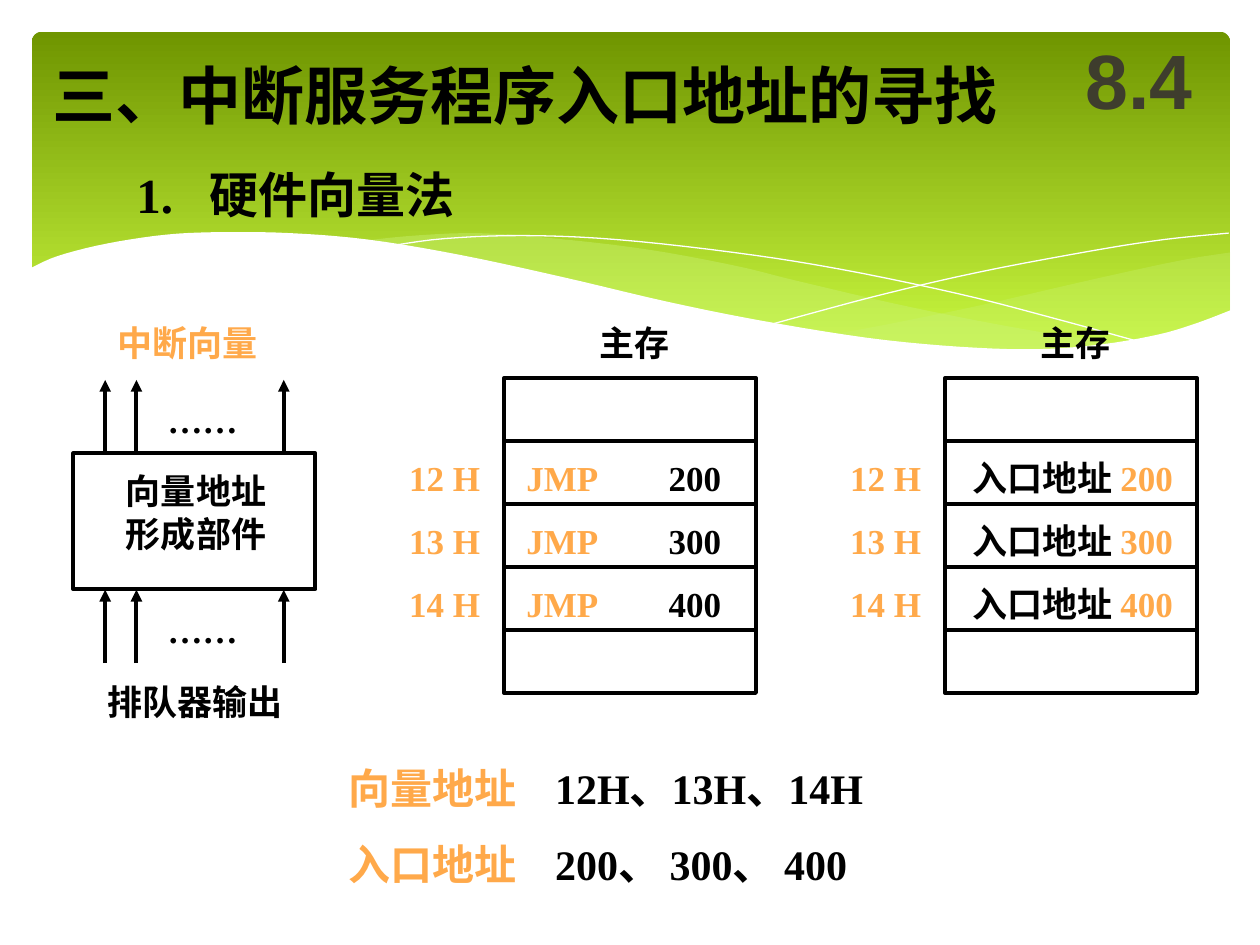
from lxml.etree import SubElement
from pptx import Presentation
from pptx.dml.color import RGBColor
from pptx.enum.shapes import MSO_CONNECTOR, MSO_SHAPE
from pptx.enum.text import MSO_ANCHOR, MSO_AUTO_SIZE, PP_ALIGN
from pptx.oxml.ns import qn
from pptx.util import Cm, Pt

BLACK, ORANGE, WHITE, LIME, GREY = "000000", "FFA94A", "FFFFFF", "CAF278", "3E3D2D"

MAIN_WAVE = [
    (-0.05, 4.78), (0.53, 4.52), (1.52, 4.27), (2.72, 4.09), (3.84, 4.04), (5.21, 4.06),
    (6.78, 4.19), (8.64, 4.5), (10.72, 4.95), (12.8, 5.44), (14.68, 5.82), (16.84, 6.17),
    (18.69, 6.35), (20.27, 6.4), (21.59, 6.3), (22.73, 6.1), (23.5, 5.87), (24.18, 5.61)]
RIGHT_SWELL = (
    [(24.16, 4.45), (23.11, 4.62), (21.23, 5.03), (19.15, 5.51), (17.3, 5.89), (16.15, 6.1)],
    [(16.15, 6.1), (16.92, 6.2), (18.29, 6.35), (19.76, 6.43), (21.29, 6.35), (22.56, 6.15),
     (23.47, 5.89), (24.16, 5.64)])
LEFT_SWELL = (
    [(6.63, 4.22), (7.7, 4.11), (9.02, 4.06), (10.57, 4.17), (12.42, 4.39), (14.2, 4.72),
     (15.34, 5), (17.3, 5.46), (19.05, 5.82), (20.62, 6.1), (22.05, 6.3)],
    [(22.05, 6.3), (20.9, 6.43), (19.58, 6.45), (18.06, 6.35), (16.26, 6.12), (14.2, 5.77),
     (11.84, 5.26), (10.21, 4.85), (8.56, 4.52), (6.63, 4.22)])
FALLING_LINE = [
    (7.21, 4.32), (8.33, 4.17), (9.93, 4.11), (11.79, 4.19), (14.15, 4.45), (16.26, 4.78),
    (18.67, 5.28), (20.47, 5.74), (22.4, 6.27)]
RISING_LINE = [(14.94, 5.89), (17.02, 5.33), (19.08, 4.85), (21.36, 4.42), (22.83, 4.19),
               (24.13, 4.06)]


def color(value):
    """Turn a hex string into a colour."""
    return RGBColor.from_string(value)


def write(box, lines, size=20, font="Times New Roman", tab=None, gap=0, align=PP_ALIGN.LEFT):
    """Fill a box with lines of (text, colour) spans."""
    frame = box.text_frame
    for index, spans in enumerate(lines):
        para = frame.add_paragraph() if index else frame.paragraphs[0]
        if tab:
            stops = SubElement(para._p.get_or_add_pPr(), qn("a:tabLst"))
            SubElement(stops, qn("a:tab"), pos=str(Cm(tab)), algn="l")
        para.alignment = align
        if index and gap:
            para.space_before = Pt(gap)
        for text, tint in spans:
            span = para.add_run()
            span.text = text
            span.font.size, span.font.name, span.font.bold = Pt(size), font, True
            span.font.color.rgb = color(tint)


def set_frame(box, flush=False):
    """Set wrapping, and for a flush box no side margins and a middle anchor."""
    frame = box.text_frame
    frame.word_wrap = True
    frame.auto_size = MSO_AUTO_SIZE.NONE if flush else MSO_AUTO_SIZE.SHAPE_TO_FIT_TEXT
    if flush:
        frame.margin_left = frame.margin_right = 0
        frame.vertical_anchor = MSO_ANCHOR.MIDDLE


def add_text(shapes, left, top, width, height, lines, flush=False, **style):
    """Add a text box and write its lines."""
    box = shapes.add_textbox(Cm(left), Cm(top), Cm(width), Cm(height))
    set_frame(box, flush)
    write(box, lines, **style)


def add_frame(shapes, left, top, width, height):
    """Add an unfilled black rectangle."""
    box = shapes.add_shape(MSO_SHAPE.RECTANGLE, Cm(left), Cm(top), Cm(width), Cm(height))
    box.shadow.inherit = False
    box.fill.background()
    box.line.color.rgb, box.line.width = color(BLACK), Pt(2.25)


def add_up_arrow(shapes, x, bottom, length):
    """Add an arrow that points straight up."""
    arrow = shapes.add_connector(
        MSO_CONNECTOR.STRAIGHT, Cm(x), Cm(bottom), Cm(x), Cm(bottom - length))
    arrow.line.color.rgb, arrow.line.width = color(BLACK), Pt(2.25)
    SubElement(arrow.line._get_or_add_ln(), qn("a:tailEnd"), type="triangle")
    SubElement(arrow._element.spPr, qn("a:effectLst"))


def smooth(points, steps=5):
    """Return points on a Catmull-Rom curve through the given points."""
    padded = [points[0], *points, points[-1]]
    curve = [points[0]]
    for a, b, c, d in zip(padded, padded[1:], padded[2:], padded[3:]):
        for step in range(1, steps + 1):
            t = step / steps
            curve.append(tuple(
                (2 * q + (r - p) * t + (2 * p - 5 * q + 4 * r - s) * t ** 2
                 + (3 * q - p - 3 * r + s) * t ** 3) / 2
                for p, q, r, s in zip(a, b, c, d)))
    return curve


def add_curve(shapes, left, top, points, fill=None, opacity=100):
    """Add a filled area, or a white hairline when no fill is given."""
    places = [(Cm(left + x), Cm(top + y)) for x, y in points]
    builder = shapes.build_freeform(*places[0])
    builder.add_line_segments(places[1:], close=fill is not None)
    curve = builder.convert_to_shape()
    curve.shadow.inherit = False
    if fill is None:
        curve.fill.background()
        curve.line.color.rgb, curve.line.width = color(WHITE), Pt(0)
        return
    curve.line.fill.background()
    curve.fill.solid()
    curve.fill.fore_color.rgb = color(fill)
    if opacity < 100:
        tint = curve._element.spPr.find(qn("a:solidFill"))[0]
        SubElement(tint, qn("a:alpha"), val=str(opacity * 1000))


def add_band(page, left, top, width, height):
    """Draw the green band with its waves."""
    band = page.shapes.add_shape(
        MSO_SHAPE.ROUNDED_RECTANGLE, Cm(left), Cm(top), Cm(width), Cm(height))
    band.adjustments[0] = 0.03
    band.shadow.inherit = False
    band.line.fill.background()
    band.fill.gradient()
    band.fill.gradient_angle = 270
    for stop, tint, position in zip(band.fill.gradient_stops, ("6F9500", "D0FF44"), (0, 1)):
        stop.color.rgb, stop.position = color(tint), position
    waves = page.shapes.add_group_shape().shapes
    for (first, second), opacity in ((RIGHT_SWELL, 29), (LEFT_SWELL, 40)):
        add_curve(waves, left, top, smooth(first) + smooth(second)[1:], LIME, opacity)
    for line in (FALLING_LINE, RISING_LINE):
        add_curve(waves, left, top, smooth(line))
    floor = [(24.18, 7.72), (-0.05, 7.72)]
    add_curve(waves, left, top, smooth(MAIN_WAVE) + floor, WHITE)


def add_heading(page, left, top, width, height):
    """Place the title, the subheading and the section number."""
    title = page.shapes.title
    title.left, title.top, title.width, title.height = map(Cm, (left, top, width, height))
    set_frame(title, flush=True)
    write(title, [[("三、中断服务程序入口地址的寻找", BLACK)]], size=36)
    page.shapes._spTree.append(title._element)
    add_text(page.shapes, left + 1.69, top + 2.1, 10.8, 1.48,
             [[("1.\t硬件向量法", BLACK)]], flush=True, size=28, tab=1.48)
    add_text(page.shapes, left + 20.32, top - 0.64, 3.18, 2.33, [[("8.4", GREY)]],
             flush=True, size=44, font="Arial", align=PP_ALIGN.CENTER)


def add_vector_unit(page, left, top):
    """Draw the unit that forms vector addresses, with its inputs and outputs."""
    shapes = page.shapes.add_group_shape().shapes
    add_text(shapes, left + 0.64, top, 4.66, 1.12, [[("中断向量", ORANGE)]])
    add_text(shapes, left + 0.81, top + 3, 3.6, 1.96,
             [[("向量地址", BLACK)], [("形成部件", BLACK)]])
    add_frame(shapes, left, top + 2.79, 4.88, 2.74)
    for bottom in (top + 2.79, top + 7.02):
        for x in (0.64, 1.27, 4.24):
            add_up_arrow(shapes, left + x, bottom, 1.48)
        add_text(shapes, left + 1.65, bottom - 1.23, 2.2, 1.12, [[("……", BLACK)]])
    add_text(shapes, left + 0.43, top + 7.24, 5.92, 1.12, [[("排队器输出", BLACK)]])


def add_memory(page, left, top, rows, inset):
    """Draw a main memory of five cells with addresses beside the middle three."""
    shapes = page.shapes.add_group_shape().shapes
    width, height = 5.08, 1.27
    add_text(shapes, left + 1.68, top - height, 2.2, 1.12, [[("主存", BLACK)]])
    for index in range(5):
        add_frame(shapes, left, top + index * height, width, height)
    for index, spans in enumerate(rows, start=1):
        y = top + index * height
        add_text(shapes, left + inset, y + 0.18, width - inset, 1.12, [spans], tab=2.87)
        add_text(shapes, left - 1.91, y, 1.7, 1.47, [[(f"{11 + index} H", ORANGE)]], flush=True)


def add_summary(page, left, top, width, height):
    """List the vector addresses and the entry addresses."""
    lines = [[("向量地址", ORANGE), ("\t12H、13H、14H", BLACK)],
             [("入口地址", ORANGE), ("\t200、 300、 400", BLACK)]]
    add_text(page.shapes, left, top, width, height, lines, size=24, tab=4.17, gap=15)


def main():
    """Build the slide and save it."""
    deck = Presentation()
    deck.slide_width, deck.slide_height = Cm(25.4), Cm(19.05)
    page = deck.slides.add_slide(deck.slide_layouts[5])
    entries = ("200", "300", "400")
    add_band(page, 0.64, 0.64, 24.16, 6.86)
    add_heading(page, 1.06, 1.06, 24.13, 1.7)
    add_vector_unit(page, 1.48, 6.35)
    add_memory(page, 10.16, 7.62, [[("JMP", ORANGE), (f"\t{n}", BLACK)] for n in entries], 0.2)
    add_memory(page, 19.05, 7.62, [[("入口地址 ", BLACK), (n, ORANGE)] for n in entries], 0.3)
    add_summary(page, 6.77, 15.24, 18, 2.82)
    deck.save("out.pptx")


if __name__ == "__main__":
    main()
